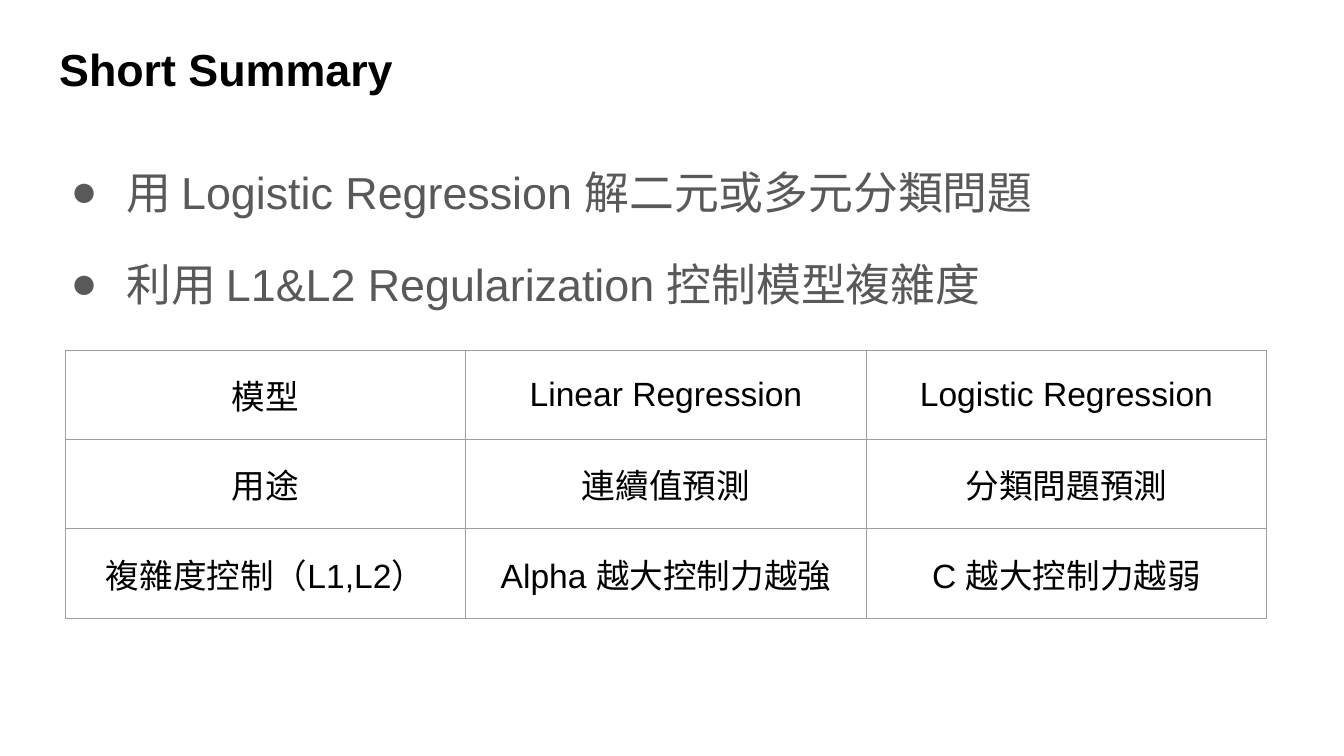
from lxml import etree
from pptx import Presentation, util as u
from pptx.dml.color import RGBColor
from pptx.enum import text
from pptx.oxml import ns

SCALE = 4572  # EMU per px, 200 px to the inch
FONT = "Arial"
BLACK, GREY, BORDER = "000000", "595959", "9E9E9E"
BULLETS = [
    "用 Logistic Regression 解二元或多元分類問題",
    "利用 L1&L2 Regularization 控制模型複雜度",
]
MODELS = [
    ["模型", "Linear Regression", "Logistic Regression"],
    ["用途", "連續值預測", "分類問題預測"],
    ["複雜度控制（L1,L2）", "Alpha 越大控制力越強", "C 越大控制力越弱"],
]


def px(n):
    return u.Emu(n * SCALE)


def color(hex_string):
    return RGBColor.from_string(hex_string)


def sub(parent, tag, **attrs):
    return etree.SubElement(parent, ns.qn(tag), attrs)


def add_run(p, words, size, hex_string, bold=False):
    r = p.add_run()
    r.text = words
    r.font.name, r.font.size, r.font.bold = FONT, u.Pt(size), bold
    r.font.color.rgb = color(hex_string)


def set_margins(target):
    target.margin_left = target.margin_right = px(20)
    target.margin_top = target.margin_bottom = px(20)


def place_text(sp, box, anchor):
    sp.left, sp.top, sp.width, sp.height = map(px, box)
    tf = sp.text_frame
    tf.word_wrap = True
    tf.auto_size = text.MSO_AUTO_SIZE.NONE
    tf.vertical_anchor = anchor
    set_margins(tf)
    return tf


# Title
def add_title(s, box, words):
    tf = place_text(s.shapes.title, box, text.MSO_ANCHOR.MIDDLE)
    p = tf.paragraphs[0]
    p.alignment = text.PP_ALIGN.LEFT
    add_run(p, words, 24, BLACK, bold=True)


# Bulleted list
def add_bullets(s, box, lines):
    tf = place_text(s.placeholders[1], box, text.MSO_ANCHOR.TOP)
    for i, line in enumerate(lines):
        p = tf.add_paragraph() if i else tf.paragraphs[0]
        pPr = p._p.get_or_add_pPr()
        pPr.set("marL", str(px(100)))
        pPr.set("indent", str(px(-83)))
        sub(sub(pPr, "a:buClr"), "a:srgbClr", val=GREY)
        sub(pPr, "a:buSzPct", val="100000")
        sub(pPr, "a:buFont", typeface=FONT)
        sub(pPr, "a:buChar", char="●")
        p.line_spacing = 1.15
        p.space_before = u.Pt(16 if i else 0)
        add_run(p, line, 24, GREY)


def set_borders(cell):
    tcPr = cell._tc.get_or_add_tcPr()
    for side in ("a:lnL", "a:lnR", "a:lnT", "a:lnB"):
        ln = sub(tcPr, side, w=str(u.Pt(0.75)))
        sub(sub(ln, "a:solidFill"), "a:srgbClr", val=BORDER)


# Model comparison table
def add_model_table(s, box, rows):
    table = s.shapes.add_table(len(rows), len(rows[0]), *map(px, box)).table
    table.first_row = table.horz_banding = False
    for i, row in enumerate(rows):
        for j, words in enumerate(row):
            cell = table.cell(i, j)
            set_borders(cell)
            cell.fill.background()
            cell.vertical_anchor = text.MSO_ANCHOR.MIDDLE
            set_margins(cell)
            p = cell.text_frame.paragraphs[0]
            p.alignment = text.PP_ALIGN.CENTER
            add_run(p, words, 18, BLACK)


def main():
    prs = Presentation()
    prs.slide_width, prs.slide_height = px(2000), px(1125)
    s = prs.slides.add_slide(prs.slide_layouts[1])
    add_title(s, (68, 39, 1864, 126), "Short Summary")
    add_bullets(s, (68, 213, 1864, 846), BULLETS)
    add_model_table(s, (97, 521, 1788, 399), MODELS)
    prs.save("out.pptx")


if __name__ == "__main__":
    main()
